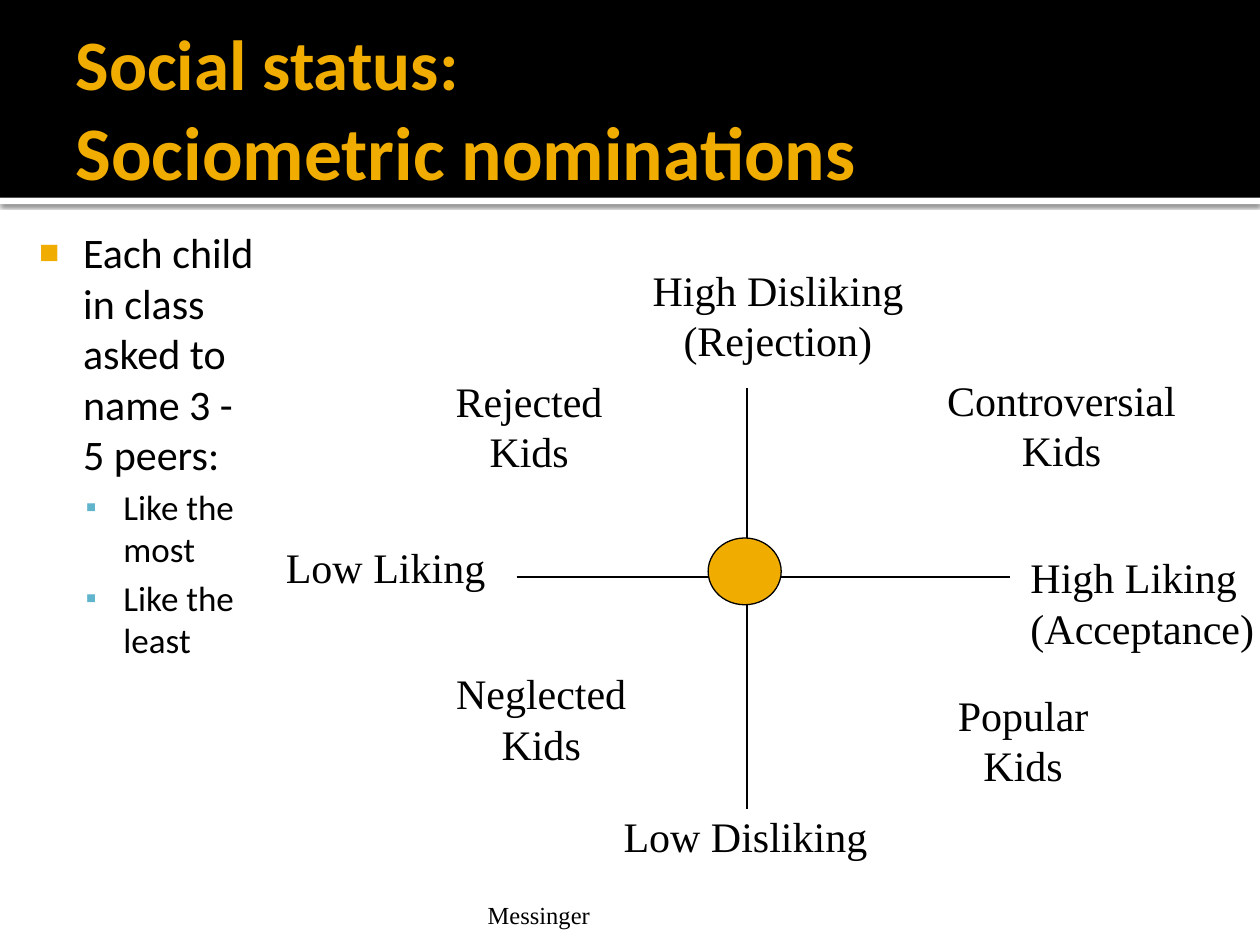
from lxml import etree
from pptx import Presentation
from pptx.dml.color import RGBColor
from pptx.enum.shapes import MSO_CONNECTOR, MSO_SHAPE
from pptx.enum.text import MSO_ANCHOR, MSO_AUTO_SIZE, PP_ALIGN
from pptx.oxml import parse_xml
from pptx.oxml.ns import nsdecls, qn
from pptx.util import Inches, Pt

LEFT, CENTER = PP_ALIGN.LEFT, PP_ALIGN.CENTER
MIDDLE, TOP, BOTTOM = MSO_ANCHOR.MIDDLE, MSO_ANCHOR.TOP, MSO_ANCHOR.BOTTOM
FIT_NONE, FIT_SHAPE = MSO_AUTO_SIZE.NONE, MSO_AUTO_SIZE.SHAPE_TO_FIT_TEXT
RECTANGLE, CIRCLE = MSO_SHAPE.RECTANGLE, MSO_SHAPE.FLOWCHART_CONNECTOR
STRAIGHT = MSO_CONNECTOR.STRAIGHT

COLORS = {"black": "000000", "white": "FFFFFF", "gold": "F0AD00", "blue": "60B5CC"}
SANS, SERIF = "Calibri", "Times New Roman"
SLIDE_W, SLIDE_H = 10, 7.5
HEADER_H = 1.57

# Labels of the liking / disliking map: text, left, top, width, alignment
MAP_LABELS = [
    ("High Disliking\n(Rejection)", 5.06, 2.05, 2.23, CENTER),
    ("Low Disliking", 4.85, 6.38, 2.18, LEFT),
    ("Low Liking", 2.17, 4.25, 1.82, LEFT),
    ("High Liking\n(Acceptance)", 8.08, 4.33, 2.02, LEFT),
    ("Rejected\nKids", 3.5, 2.93, 1.4, CENTER),
    ("Controversial\nKids", 7.4, 2.92, 2.05, CENTER),
    ("Neglected\nKids", 3.5, 5.25, 1.59, CENTER),
    ("Popular\nKids", 7.48, 5.42, 1.28, CENTER),
]
# Axes: start x, start y, end x, end y, line width
AXES = [(5.93, 3.08, 5.93, 6.42, 1), (4.1, 4.58, 8.02, 4.58, 0.75)]

# Nomination list: text, level
NOMINATIONS = [
    ("Each child in class asked to name 3 - 5 peers:", 0),
    ("Like the most", 1),
    ("Like the least", 1),
]
# Format of each list level
LEVELS = [
    dict(size=24, before=0, margin=0.48, hang=0.35, bullet="■", color="gold", percent=80),
    dict(size=20, before=4, margin=0.8, hang=0.3, bullet="▪", color="blue", percent=90),
]


def rgb(name):
    return RGBColor.from_string(COLORS[name])


def write(paragraph, text, size=24, font=SERIF, color="black", bold=False, align=LEFT):
    paragraph.alignment = align
    run = paragraph.add_run()
    run.text = text
    run.font.size = Pt(size)
    run.font.name = font
    run.font.bold = bold
    run.font.color.rgb = rgb(color)


def place(shape, left, top, width, height):
    shape.left, shape.top = Inches(left), Inches(top)
    shape.width, shape.height = Inches(width), Inches(height)


def next_paragraph(frame, index):
    return frame.paragraphs[0] if index == 0 else frame.add_paragraph()


def add_filled(shapes, kind, left, top, width, height, fill, line=None):
    shape = shapes.add_shape(kind, Inches(left), Inches(top), Inches(width), Inches(height))
    shape.shadow.inherit = False
    shape.fill.solid()
    shape.fill.fore_color.rgb = rgb(fill)
    if line:
        shape.line.color.rgb = rgb(line)
        shape.line.width = Pt(0.75)
    else:
        shape.line.fill.background()
    return shape


def add_band(slide, top, height, fill):
    """Full-width band behind everything else."""
    band = add_filled(slide.shapes, RECTANGLE, 0, top, SLIDE_W, height, fill)
    slide.shapes._spTree.insert(2, band._element)
    return band


def add_shadow(shape):
    effects = shape._element.spPr.find(qn("a:effectLst"))
    effects.append(parse_xml(
        f'<a:outerShdw {nsdecls("a")} blurRad="{Pt(2.5)}" dist="{Pt(0.8)}" dir="5400000">'
        f'<a:srgbClr val="{COLORS["black"]}"><a:alpha val="60000"/></a:srgbClr>'
        '</a:outerShdw>'))


def add_label(shapes, text, left, top, width, align):
    lines = text.split("\n")
    height = 0.1 + 0.4 * len(lines)
    label = shapes.add_textbox(Inches(left), Inches(top), Inches(width), Inches(height))
    frame = label.text_frame
    frame.word_wrap = False
    frame.auto_size = FIT_SHAPE
    for index, line in enumerate(lines):
        write(next_paragraph(frame, index), line, align=align)


def add_axis(shapes, x1, y1, x2, y2, weight):
    axis = shapes.add_connector(STRAIGHT, Inches(x1), Inches(y1), Inches(x2), Inches(y2))
    axis.line.color.rgb = rgb("black")
    axis.line.width = Pt(weight)
    etree.SubElement(axis._element.spPr, qn("a:effectLst"))


def set_bullet(paragraph, margin, hang, bullet, color, percent):
    props = paragraph._p.get_or_add_pPr()
    props.set("marL", str(Inches(margin)))
    props.set("indent", str(-Inches(hang)))
    bullet_color = etree.SubElement(props, qn("a:buClr"))
    etree.SubElement(bullet_color, qn("a:srgbClr"), val=COLORS[color])
    etree.SubElement(props, qn("a:buSzPct"), val=str(percent * 1000))
    etree.SubElement(props, qn("a:buChar"), char=bullet)


def fill_title(title):
    place(title, 0.5, 0.17, 9, 1.37)
    frame = title.text_frame
    frame.auto_size = FIT_NONE
    frame.vertical_anchor = MIDDLE
    frame.margin_right = Inches(0.05)
    heading = frame.paragraphs[0]
    style = dict(font=SANS, color="gold", bold=True)
    write(heading, "Social status: ", size=40.5, **style)
    heading.add_line_break()
    write(heading, "Sociometric nominations", size=43.2, **style)


def fill_nominations(body):
    place(body, 0.08, 1.75, 2.08, 4.95)
    frame = body.text_frame
    frame.auto_size = FIT_NONE
    frame.vertical_anchor = TOP
    for index, (text, level) in enumerate(NOMINATIONS):
        item = next_paragraph(frame, index)
        item.level = level
        look = dict(LEVELS[level])
        size, before = look.pop("size"), look.pop("before")
        set_bullet(item, **look)
        item.space_before = Pt(before)
        write(item, text, size=size, font=SANS)


def add_footer(shapes):
    footer = shapes.add_textbox(Inches(3.82), Inches(7.08), Inches(6.02), Inches(0.3))
    frame = footer.text_frame
    frame.word_wrap = True
    frame.vertical_anchor = BOTTOM
    frame.margin_left = frame.margin_right = frame.margin_top = Inches(0.05)
    frame.margin_bottom = 0
    write(frame.paragraphs[0], "Messinger", size=14)


def add_status_map(shapes):
    for label in MAP_LABELS:
        add_label(shapes, *label)
    for axis in AXES:
        add_axis(shapes, *axis)
    add_filled(shapes, CIRCLE, 5.62, 4.27, 0.58, 0.53, "gold", line="black")


def main():
    deck = Presentation()
    deck.slide_width, deck.slide_height = Inches(SLIDE_W), Inches(SLIDE_H)
    slide = deck.slides.add_slide(deck.slide_layouts[1])

    # Header: black band over a white stripe with a shadow
    add_band(slide, 0, HEADER_H, "black")
    add_shadow(add_band(slide, HEADER_H, 0.05, "white"))

    # Title, list and footer
    fill_title(slide.shapes.title)
    fill_nominations(slide.placeholders[1])
    add_footer(slide.shapes)

    # Map of social status
    add_status_map(slide.shapes.add_group_shape().shapes)

    deck.save("out.pptx")


if __name__ == "__main__":
    main()
